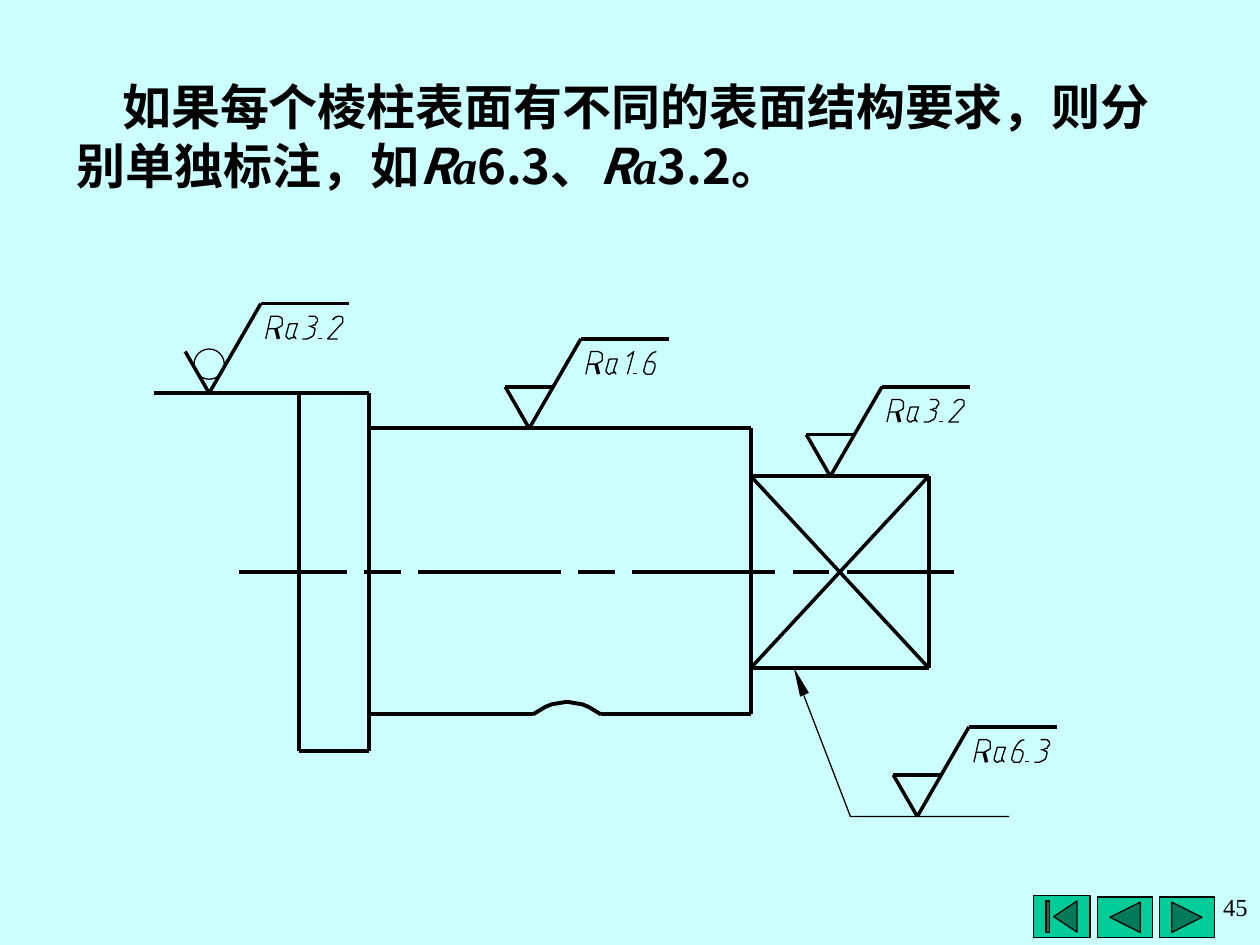
"""Build a slide on surface finish marks for a stepped shaft with a square end."""
from itertools import pairwise

from lxml import etree
from pptx import Presentation
from pptx import util as u
from pptx.dml.color import RGBColor
from pptx.enum import shapes, text
from pptx.oxml import ns

SANS, SERIF = "Noto Sans CJK SC", "Times New Roman"
BLACK, GREEN, PALE = "000000", "00CC99", "CCFFFF"
THICK, THIN = 2.25, 0

STROKES = {
    "R": [[(0, 0), (4, -18), (10, -18), (12, -17), (13, -16), (13, -11),
           (12, -10), (10, -9), (8, -8), (2, -8)], [(8, -8), (10, 0)]],
    "a": [[(8, 0), (6, -3), (9, -12), (3, -12), (2, -11), (2, -10), (0, -3),
           (0, -2), (1, -1), (2, 0), (3, 0), (4, -1), (6, -1), (6, -3)]],
    "1": [[(4, 0), (9, -18), (4, -14)]],
    "2": [[(8, 0), (0, 0), (11, -12), (12, -13), (12, -17), (10, -18),
           (8, -18), (6, -17), (5, -16), (4, -15)]],
    "3": [[(0, 0), (4, 0), (6, -1), (8, -2), (9, -3), (10, -7), (10, -8),
           (9, -9), (8, -9), (7, -10), (5, -10)],
          [(7, -10), (9, -11), (10, -11), (11, -13), (12, -14), (12, -16),
           (11, -17), (10, -18), (5, -18)]],
    "6": [[(11, -18), (8, -17), (6, -15), (4, -12), (3, -10), (1, -3), (1, -2),
           (2, -1), (3, 0), (7, 0), (8, -1), (9, -3), (10, -6), (10, -8),
           (9, -9), (8, -10), (4, -10)]],
    ".": [[(0, 0), (0, -1)]],
}
ADVANCE = {"R": 16, "a": 13, "1": 10, "2": 14, "3": 14, "6": 13, ".": 6}


def color(value):
    """Turn a hex string into a colour."""
    return RGBColor.from_string(value)


def write(paragraph, content, *, size, font=SANS, bold=False, italic=False):
    """Add a formatted run to a paragraph."""
    run = paragraph.add_run()
    run.text = content
    run.font.size = u.Pt(size)
    run.font.bold, run.font.italic = bold, italic
    run.font.color.rgb = color(BLACK)
    run.font.name = font
    east_asian = etree.SubElement(run.font._element, ns.qn("a:ea"))
    east_asian.set("typeface", font)


class Drawing:
    """Hold the slide and draw each kind of element on it."""

    def __init__(self, slide):
        """Keep the slide and paint its background."""
        self.slide = slide
        self.shapes = slide.shapes
        slide.background.fill.solid()
        slide.background.fill.fore_color.rgb = color(PALE)

    def outline(self, shape, width):
        """Give a shape a black line of the given width."""
        shape.line.color.rgb = color(BLACK)
        shape.line.width = u.Pt(width)

    def line(self, start, end, width=THIN):
        """Draw one straight line."""
        ends = [u.Inches(value) for value in (*start, *end)]
        connector = self.shapes.add_connector(shapes.MSO_CONNECTOR.STRAIGHT, *ends)
        self.outline(connector, width)
        etree.SubElement(connector._element.spPr, ns.qn("a:effectLst"))

    def lines(self, points, width=THIN):
        """Draw a chain of straight lines."""
        for start, end in pairwise(points):
            self.line(start, end, width)

    def curve(self, points, width=THIN, fill=None):
        """Draw an open outline, or a filled one without a line."""
        corners = [(u.Inches(x), u.Inches(y)) for x, y in points]
        builder = self.shapes.build_freeform(*corners[0])
        builder.add_line_segments(corners[1:], close=fill is not None)
        shape = builder.convert_to_shape()
        shape.shadow.inherit = False
        if fill:
            shape.fill.solid()
            shape.fill.fore_color.rgb = color(fill)
            shape.line.fill.background()
        else:
            shape.fill.background()
            self.outline(shape, width)

    def preset(self, kind, box, width, fill=None):
        """Draw a preset shape."""
        shape = self.shapes.add_shape(kind, *map(u.Inches, box))
        shape.shadow.inherit = False
        if fill:
            shape.fill.solid()
            shape.fill.fore_color.rgb = color(fill)
        else:
            shape.fill.background()
        self.outline(shape, width)

    def lettering(self, content, x, y):
        """Draw technical lettering from single strokes."""
        for letter in content:
            for stroke in STROKES[letter]:
                points = [(x + across / 100, y + down / 100) for across, down in stroke]
                draw = self.lines if len(points) == 2 else self.curve
                draw(points)
            x += ADVANCE[letter] / 100

    def finish_mark(self, x, y, content, machined=True):
        """Draw a surface finish mark with its tip at x, y."""
        self.lines([(x - 0.19, y - 0.33), (x, y), (x + 0.41, y - 0.71),
                    (x + 1.11, y - 0.71)])
        if machined:
            self.line((x - 0.19, y - 0.33), (x + 0.19, y - 0.33))
        else:
            self.preset(shapes.MSO_SHAPE.OVAL, (x - 0.12, y - 0.35, 0.24, 0.24), THIN)
        self.lettering(content, x + 0.45, y - 0.43)

    def title(self):
        """Write the statement at the top."""
        title = self.shapes.title
        title.left, title.top = u.Inches(0.51), u.Inches(0.51)
        title.width, title.height = u.Inches(8.66), u.Inches(1.04)
        frame = title.text_frame
        frame.word_wrap = True
        frame.auto_size = text.MSO_AUTO_SIZE.NONE
        frame.vertical_anchor = text.MSO_ANCHOR.TOP
        frame.margin_left, frame.margin_right = u.Inches(0.1), 0
        frame.margin_top, frame.margin_bottom = u.Inches(0.1), 0
        paragraph = frame.paragraphs[0]
        paragraph.alignment = text.PP_ALIGN.LEFT
        paragraph.line_spacing = u.Pt(33.5)
        paragraph._p.get_or_add_pPr().set("indent", str(u.Inches(0.36)))
        write(paragraph, "如果每个棱柱表面有不同的表面结构要求，则分别单独标注，如",
              size=28, bold=True)
        for value in ("6.3、", "3.2。"):
            write(paragraph, "R", size=28, bold=True, italic=True)
            write(paragraph, "a", size=28, font=SERIF, bold=True, italic=True)
            write(paragraph, value, size=28, bold=True)

    def page_number(self, number):
        """Write the page number at the bottom right."""
        box = self.shapes.add_textbox(*map(u.Inches, (7.48, 7.03, 2.52, 0.61)))
        box.text_frame.word_wrap = True
        paragraph = box.text_frame.paragraphs[0]
        paragraph.alignment = text.PP_ALIGN.RIGHT
        write(paragraph, number, size=14, font=SERIF)


def draw_shaft(drawing):
    """Draw the collar, body, square end and centre line."""
    drawing.lines([(2.37, 3.12), (2.37, 5.96), (2.93, 5.96), (2.93, 3.12),
                   (2.37, 3.12)], THICK)
    drawing.lines([(2.93, 3.4), (5.96, 3.4), (5.96, 5.67), (4.77, 5.67)], THICK)
    drawing.line((4.23, 5.67), (2.93, 5.67), THICK)
    drawing.lines([(5.96, 3.78), (7.37, 3.78), (7.37, 5.3), (5.96, 5.3)], THICK)
    drawing.curve([(4.77, 5.67), (4.72, 5.64), (4.67, 5.61), (4.62, 5.59),
                   (4.56, 5.58), (4.5, 5.57), (4.44, 5.58), (4.38, 5.59),
                   (4.33, 5.61), (4.28, 5.64), (4.23, 5.67)], THICK)
    x = 1.9
    for dash in (0.85, 0.29, 1.13, 0.29, 1.13, 0.29, 0.85):
        drawing.line((x, 4.54), (x + dash, 4.54))
        x += dash + 0.14
    drawing.line((5.96, 3.78), (7.37, 5.3))
    drawing.line((7.37, 3.78), (5.96, 5.3))


def main():
    """Build and save the presentation."""
    presentation = Presentation()
    presentation.slide_width, presentation.slide_height = u.Inches(10), u.Inches(7.5)
    slide = presentation.slides.add_slide(presentation.slide_layouts[5])
    drawing = Drawing(slide)
    button = shapes.MSO_SHAPE
    for kind, box in (
        (button.ACTION_BUTTON_FORWARD_OR_NEXT, (9.2, 7.12, 0.44, 0.32)),
        (button.ACTION_BUTTON_BACK_OR_PREVIOUS, (8.71, 7.12, 0.44, 0.32)),
        (button.ACTION_BUTTON_BEGINNING, (8.2, 7.11, 0.45, 0.33)),
    ):
        drawing.preset(kind, box, 0.75, GREEN)
    drawing.title()
    draw_shaft(drawing)
    drawing.curve([(6.35, 5.53), (6.3, 5.3), (6.42, 5.5)], fill=BLACK)
    drawing.curve([(6.38, 5.52), (6.75, 6.48), (8.01, 6.48)])
    drawing.finish_mark(4.2, 3.4, "Ra1.6")
    drawing.finish_mark(6.59, 3.78, "Ra3.2")
    drawing.finish_mark(7.28, 6.48, "Ra6.3")
    drawing.finish_mark(1.66, 3.12, "Ra3.2", machined=False)
    drawing.line((2.37, 3.12), (1.22, 3.12))
    drawing.page_number("45")
    presentation.save("out.pptx")


if __name__ == "__main__":
    main()
